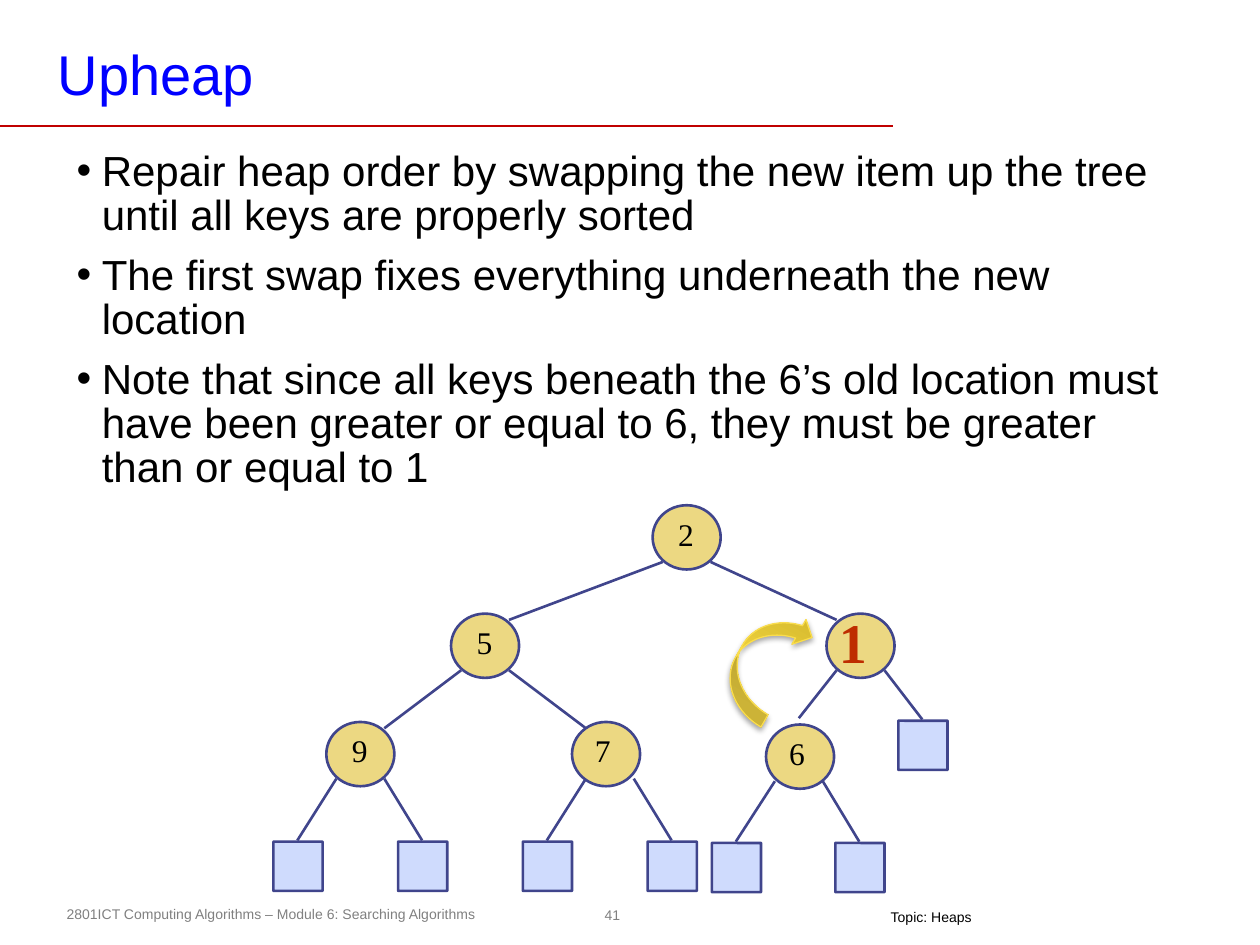
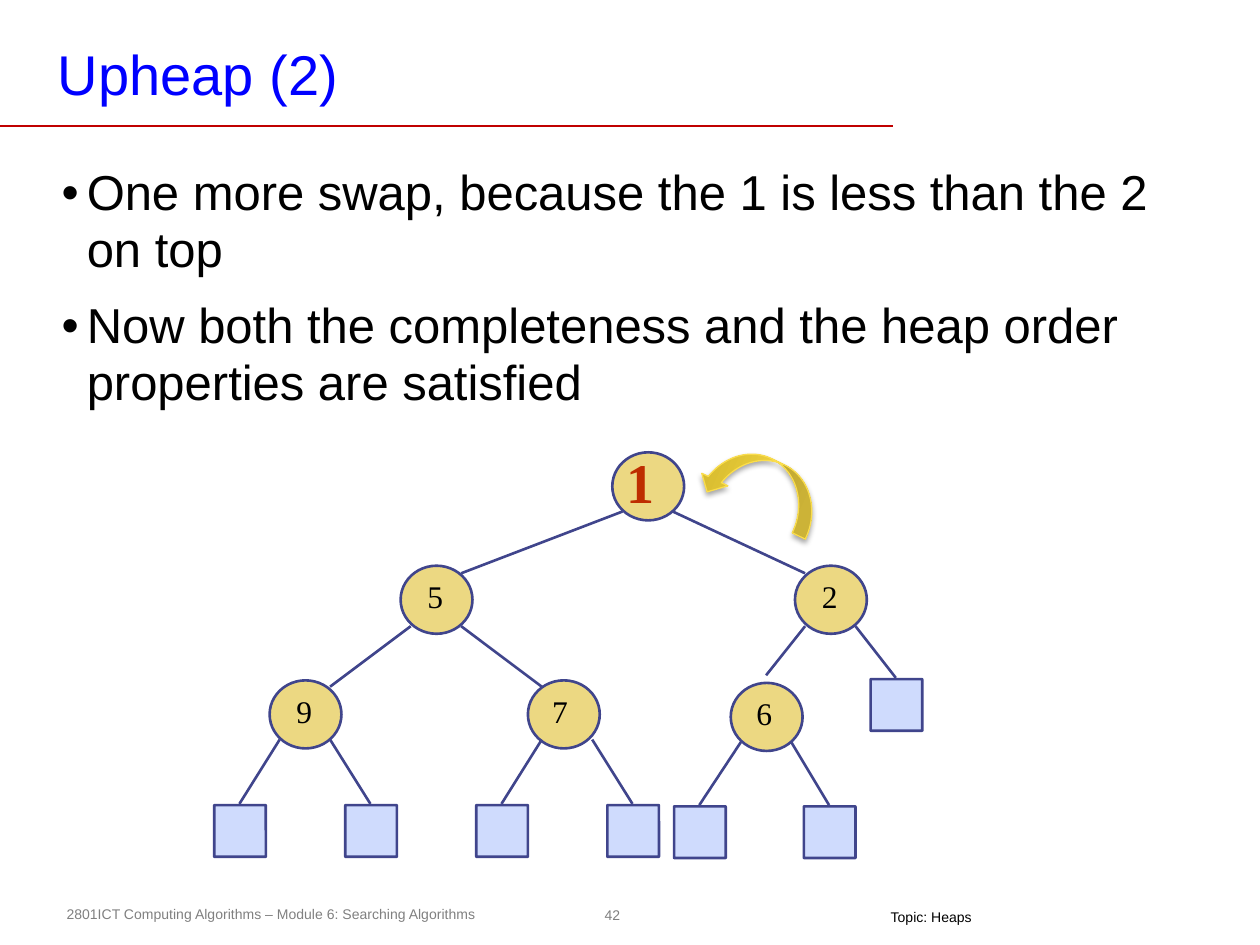
"""Build two slides that show the upheap steps on a heap drawn as a tree."""
from dataclasses import dataclass
from typing import NamedTuple

import lxml.etree
import pptx
import pptx.dml.color
import pptx.enum.shapes
import pptx.enum.text
import pptx.oxml
import pptx.oxml.ns
import pptx.shapes.autoshape
import pptx.slide
import pptx.text.text
import pptx.util

PX = 9144
TITLE_ONLY = 5
COLORS = {
    "title": "0000FF", "text": "000000", "footer": "808080", "rule": "C00000",
    "node": "ECD882", "leaf": "CFDBFD", "edge": "40458C", "moved": "BE2D00",
    "arrow_edge": "FADD4D", "arrow_dark": "CEB32B", "arrow_mid": "FFE045",
    "arrow_light": "FFE046", "shadow": "000000",
}
SANS, SERIF = "Arial", "Times New Roman"
NODE_WIDTH, NODE_HEIGHT, LEAF_SIZE = 54, 51, 39
JOINT_X, JOINT_Y = 19, 20
MOVED_KEY = "1"
SHAPES = pptx.enum.shapes.MSO_SHAPE
ALIGN = pptx.enum.text.PP_ALIGN
ANCHOR = pptx.enum.text.MSO_ANCHOR


class Area(NamedTuple):
    left: int
    top: int
    width: int
    height: int

    def emu(self) -> list[int]:
        return [side * PX for side in self]


@dataclass(frozen=True)
class Node:
    x: int
    y: int
    parent: str = ""
    side: int = 0
    joint_shift: int = 0
    label_shift: int = 0
    joined_on_top: bool = False

    def centre(self) -> tuple[int, int]:
        return self.x + NODE_WIDTH // 2, self.y + NODE_HEIGHT // 2

    def lower_joint(self, side: int) -> tuple[int, int]:
        x, y = self.centre()
        return x + self.joint_shift + side * JOINT_X, y + JOINT_Y

    def upper_joint(self) -> tuple[int, int]:
        x, y = self.centre()
        if self.joined_on_top:
            return x - 1, self.y - 5
        return x + self.joint_shift - self.side * JOINT_X, y - JOINT_Y


@dataclass(frozen=True)
class Leaf:
    x: int
    y: int
    parent: str
    side: int

    def upper_joint(self) -> tuple[int, int]:
        return self.x + LEAF_SIZE // 2, self.y - 1


@dataclass(frozen=True)
class View:
    scale: float
    shift_x: int
    shift_y: int

    def point(self, x: int, y: int) -> tuple[int, int]:
        return round(x * self.scale) + self.shift_x, round(y * self.scale) + self.shift_y

    def area(self, x: int, y: int, width: int, height: int) -> Area:
        return Area(*self.point(x, y), round(width * self.scale), round(height * self.scale))


@dataclass(frozen=True)
class SwapArrow:
    area: Area
    rotation: float
    flips: tuple[str, ...]


@dataclass(frozen=True)
class Step:
    number: int
    title: str
    bullets: list[str]
    bullet_area: Area
    bullet_size: int
    line_spacing: float
    view: View
    keys: dict[str, str]
    arrow: SwapArrow


NODES = {
    "root": Node(518, 401),
    "left": Node(358, 487, "root", -1),
    "right": Node(656, 487, "root", 1),
    "left_left": Node(259, 573, "left", -1),
    "left_right": Node(454, 573, "left", 1, joint_shift=3, label_shift=-2),
    "right_left": Node(608, 575, "right", -1, joint_shift=-1, label_shift=-2,
                       joined_on_top=True),
}
LEAVES = [
    Leaf(217, 668, "left_left", -1), Leaf(316, 668, "left_left", 1),
    Leaf(415, 668, "left_right", -1), Leaf(514, 668, "left_right", 1),
    Leaf(565, 669, "right_left", -1), Leaf(663, 669, "right_left", 1),
    Leaf(713, 572, "right", 1),
]
LOWER_KEYS = {"left": "5", "left_left": "9", "left_right": "7", "right_left": "6"}
STEPS = [
    Step(
        41, "Upheap",
        ["Repair heap order by swapping the new item up the tree until all keys "
         "are properly sorted",
         "The first swap fixes everything underneath the new location",
         "Note that since all keys beneath the 6’s old location must have been "
         "greater or equal to 6, they must be greater than or equal to 1"],
        Area(51, 115, 900, 285), 24, 0.87, View(1, 0, 0),
        LOWER_KEYS | {"root": "2", "right": MOVED_KEY},
        SwapArrow(Area(585, 479, 45, 93), 29.7, ("flipV",)),
    ),
    Step(
        42, "Upheap (2)",
        ["One more swap, because the 1 is less than the 2 on top",
         "Now both the completeness and the heap order properties are satisfied"],
        Area(39, 126, 931, 548), 28, 0.97, View(1.05, -58, -62),
        LOWER_KEYS | {"root": MOVED_KEY, "right": "2"},
        SwapArrow(Area(582, 337, 46, 98), 295.7, ("flipH", "flipV")),
    ),
]


def rgb(name: str) -> pptx.dml.color.RGBColor:
    return pptx.dml.color.RGBColor.from_string(COLORS[name])


def drawing_xml(markup: str) -> lxml.etree._Element:
    head, rest = markup.split(">", 1) if not markup.endswith("/>") else (markup[:-2], None)
    opened = f"{head} {pptx.oxml.ns.nsdecls('a')}"
    return pptx.oxml.parse_xml(f"{opened}/>" if rest is None else f"{opened}>{rest}")


def write(frame: pptx.text.text.TextFrame, texts: list[str], *, size: int,
          color: str = "text", font: str = SANS, bold: bool = False,
          align: ALIGN = ALIGN.LEFT, anchor: ANCHOR = ANCHOR.TOP,
          margins: tuple[int, int, int, int] = (10, 5, 10, 5),
          wrap: bool = True, grow: bool = True) -> None:
    sizing = pptx.enum.text.MSO_AUTO_SIZE
    frame.auto_size = sizing.SHAPE_TO_FIT_TEXT if grow else sizing.NONE
    frame.word_wrap = wrap
    frame.vertical_anchor = anchor
    (frame.margin_left, frame.margin_top,
     frame.margin_right, frame.margin_bottom) = [side * PX for side in margins]
    for index, text in enumerate(texts):
        para = frame.add_paragraph() if index else frame.paragraphs[0]
        para.alignment = align
        span = para.add_run()
        span.text = text
        span.font.size = pptx.util.Pt(size)
        span.font.name = font
        span.font.bold = bold
        span.font.color.rgb = rgb(color)


def add_text(page: pptx.slide.Slide, area: Area, texts: list[str],
             **text_format) -> pptx.text.text.TextFrame:
    frame = page.shapes.add_textbox(*area.emu()).text_frame
    write(frame, texts, **text_format)
    return frame


def add_line(page: pptx.slide.Slide, start: tuple[int, int], end: tuple[int, int],
             color: str, width: float) -> None:
    ends = [value * PX for value in (*start, *end)]
    line = page.shapes.add_connector(pptx.enum.shapes.MSO_CONNECTOR.STRAIGHT, *ends)
    line.line.color.rgb = rgb(color)
    line.line.width = pptx.util.Pt(width)
    line._element.spPr.append(drawing_xml("<a:effectLst/>"))


def add_shape(page: pptx.slide.Slide, kind: SHAPES, area: Area, fill: str,
              line: str = "edge", width: float = 1.5) -> pptx.shapes.autoshape.Shape:
    shape = page.shapes.add_shape(kind, *area.emu())
    shape.shadow.inherit = False
    shape.fill.solid()
    shape.fill.fore_color.rgb = rgb(fill)
    shape.line.color.rgb = rgb(line)
    shape.line.width = pptx.util.Pt(width)
    return shape


def add_frame(page: pptx.slide.Slide, step: Step) -> None:
    title = page.shapes.title
    title.left, title.top, title.width, title.height = Area(39, 28, 742, 60).emu()
    write(title.text_frame, [step.title], size=32, color="title", margins=(7, 3, 7, 3))
    add_line(page, (0, 100), (709, 100), "rule", 1)
    add_text(page, Area(43, 714, 364, 24),
             ["2801ICT Computing Algorithms – Module 6: Searching Algorithms"],
             size=8, color="footer")
    add_text(page, Area(474, 713, 24, 26), [str(step.number)], size=8, color="footer",
             align=ALIGN.CENTER, anchor=ANCHOR.MIDDLE, margins=(4, 4, 4, 4),
             wrap=False, grow=False)
    add_text(page, Area(697, 721, 85, 17), ["Topic: Heaps"], size=8,
             margins=(10, 0, 10, 4), wrap=False)


def add_bullets(page: pptx.slide.Slide, step: Step) -> None:
    frame = add_text(page, step.bullet_area, step.bullets, size=step.bullet_size, grow=False)
    for para in frame.paragraphs:
        para.line_spacing = step.line_spacing
        properties = para._p.get_or_add_pPr()
        properties.set("marL", str(20 * PX))
        properties.set("indent", str(-20 * PX))
        for markup in ('<a:spcBef><a:spcPct val="39000"/></a:spcBef>',
                       f'<a:buFont typeface="{SANS}"/>', '<a:buChar char="•"/>'):
            properties.append(drawing_xml(markup))


def add_swap_arrow(page: pptx.slide.Slide, arrow: SwapArrow) -> None:
    shape = add_shape(page, SHAPES.CURVED_RIGHT_ARROW, arrow.area, "arrow_mid",
                      "arrow_edge", 0.75)
    shape.rotation = arrow.rotation
    properties = shape._element.spPr
    for flip in arrow.flips:
        properties.find(pptx.oxml.ns.qn("a:xfrm")).set(flip, "1")
    stops = "".join(
        f'<a:gs pos="{percent * 1000}"><a:srgbClr val="{COLORS[name]}"/></a:gs>'
        for percent, name in ((0, "arrow_dark"), (80, "arrow_mid"), (100, "arrow_light")))
    properties.replace(
        properties.find(pptx.oxml.ns.qn("a:solidFill")),
        drawing_xml(f'<a:gradFill rotWithShape="1"><a:gsLst>{stops}</a:gsLst>'
                    '<a:lin ang="16200000" scaled="0"/></a:gradFill>'))
    properties.replace(
        properties.find(pptx.oxml.ns.qn("a:effectLst")),
        drawing_xml('<a:effectLst><a:outerShdw blurRad="40000" dist="23000" dir="5400000" '
                    f'rotWithShape="0"><a:srgbClr val="{COLORS["shadow"]}">'
                    '<a:alpha val="35000"/></a:srgbClr></a:outerShdw></a:effectLst>'))


def add_key(page: pptx.slide.Slide, view: View, node: Node, key: str) -> None:
    label_format = dict(font=SERIF, align=ALIGN.CENTER, anchor=ANCHOR.MIDDLE,
                        margins=(0, 0, 0, 5))
    left = node.x + 8 + node.label_shift
    if key == MOVED_KEY:
        add_text(page, view.area(left, node.y + 2, 37, 45), [f"{key} "], size=32,
                 color="moved", bold=True, **label_format)
    else:
        add_text(page, view.area(left, node.y - 2, 37, 54), [key], size=18, **label_format)


def add_tree(page: pptx.slide.Slide, step: Step) -> None:
    view = step.view
    for node in NODES.values():
        add_shape(page, SHAPES.OVAL, view.area(node.x, node.y, NODE_WIDTH, NODE_HEIGHT), "node")
    for leaf in LEAVES:
        square = add_shape(page, SHAPES.ROUNDED_RECTANGLE,
                           view.area(leaf.x, leaf.y, LEAF_SIZE, LEAF_SIZE), "leaf")
        square.adjustments[0] = 0.01
    for child in [*NODES.values(), *LEAVES]:
        if child.parent:
            start = NODES[child.parent].lower_joint(child.side)
            add_line(page, view.point(*start), view.point(*child.upper_joint()), "edge", 1.5)
    add_swap_arrow(page, step.arrow)
    for name, node in NODES.items():
        add_key(page, view, node, step.keys[name])


def main() -> None:
    deck = pptx.Presentation()
    deck.slide_width, deck.slide_height = 1000 * PX, 750 * PX
    for step in STEPS:
        page = deck.slides.add_slide(deck.slide_layouts[TITLE_ONLY])
        add_frame(page, step)
        add_bullets(page, step)
        add_tree(page, step)
    deck.save("out.pptx")


if __name__ == "__main__":
    main()
